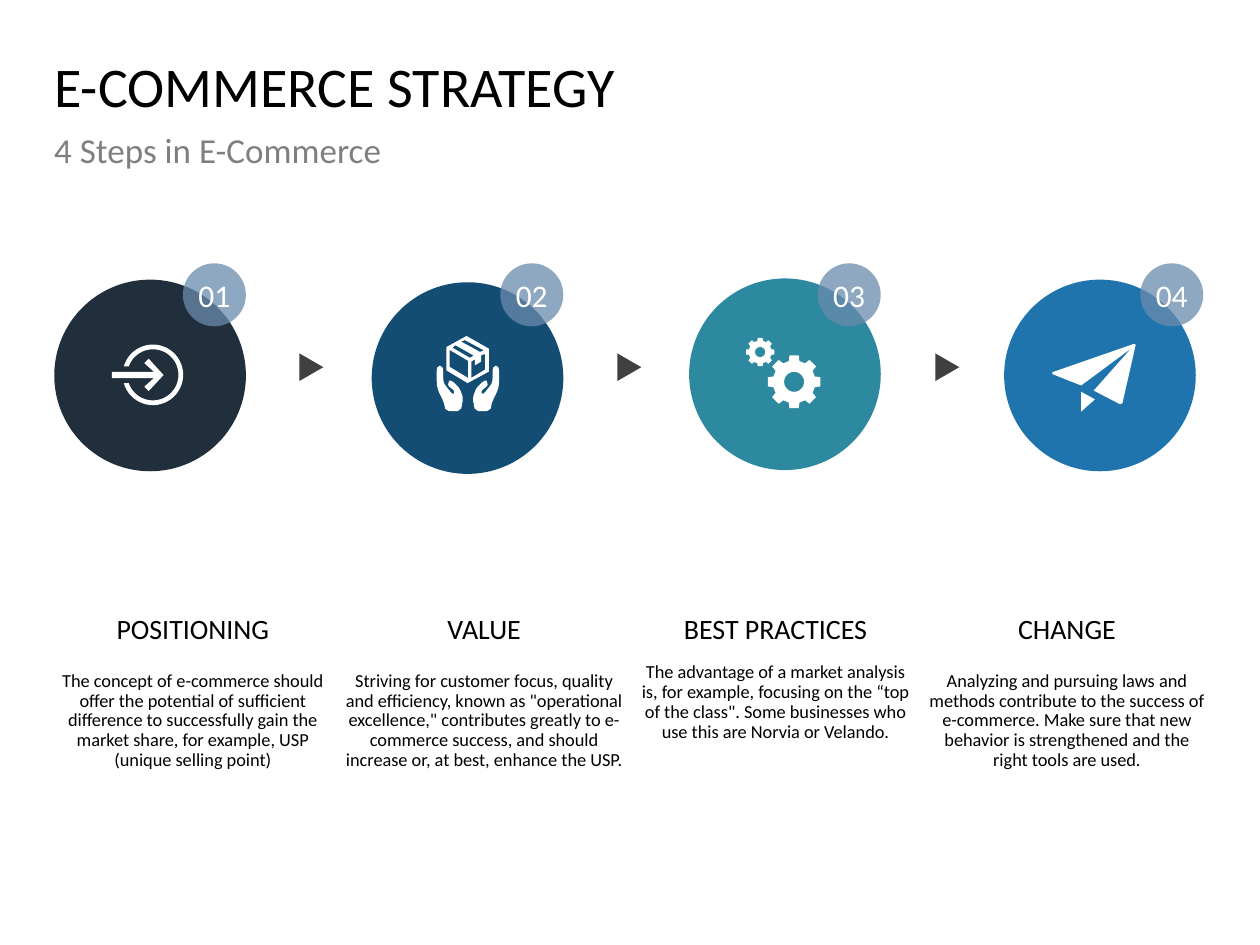
import math
from dataclasses import dataclass

import pptx
import pptx.dml.color
import pptx.enum.shapes
import pptx.enum.text
import pptx.oxml
import pptx.oxml.ns
import pptx.util

Pt = pptx.util.Pt
Shape = pptx.enum.shapes.MSO_SHAPE
Align = pptx.enum.text.PP_ALIGN
Anchor = pptx.enum.text.MSO_ANCHOR


@dataclass(frozen=True)
class Theme:
    font: str = "Calibri"
    black: str = "000000"
    white: str = "FFFFFF"
    gray: str = "7F7F7F"
    arrow: str = "404040"
    badge: str = "6A8BAD"
    title: float = 32
    sub: float = 20
    num: float = 18
    head: float = 16
    body: float = 10.5


THEME = Theme()

STEPS = [
    ("POSITIONING", "The concept of e-commerce should offer the potential of sufficient difference to successfully gain the market share, for example, USP (unique selling point)",
     "212E3C", 31, 159.8, 104.5, 15),
    ("VALUE", "Striving for customer focus, quality and efficiency, known as \"operational excellence,\" contributes greatly to e-commerce success, and should increase or, at best, enhance the USP.",
     "144D73", 212.4, 161.3, 285.9, 15),
    ("BEST PRACTICES", "The advantage of a market analysis is, for example, focusing on the “top of the class\". Some businesses who use this are Norvia or Velando.",
     "2D899F", 393.8, 159.1, 467.3, 10),
    ("CHANGE", "Analyzing and pursuing laws and methods contribute to the success of e-commerce. Make sure that new behavior is strengthened and the right tools are used.",
     "1F74AD", 573.8, 159.8, 651.6, 15),
]

BOX = [
    [(266.6, 192), (279.3, 199.2), (279.3, 212.4), (267.2, 218.9),
     (255, 211.6), (255, 198.4)],
    [(257, 200), (267.5, 206.2), (267.5, 216), (257, 209.7)],
    [(269.3, 206.6), (271.4, 205.3), (271.4, 208.8), (275, 206.6),
     (275, 203), (277.2, 202.3), (277.2, 211.2), (269.3, 216)],
    [(258.5, 198.7), (260.3, 197.3), (270.7, 203.2), (268.6, 204.5)],
    [(263.5, 195.2), (265.7, 194.4), (276.5, 200.2), (274.3, 201.1)],
]
HAND = [
    (271.5, 234.9), (270.1, 227.5), (272.2, 221.8), (275.8, 218.2),
    (278, 217.2), (278.9, 220.3), (275.2, 223.2), (275.2, 225), (276.7, 224.8),
    (280.8, 219.6), (281.5, 217.4), (281.5, 210.4), (283.4, 208.8),
    (285.3, 210.4), (285.2, 219.6), (284.4, 223.2), (281.5, 229), (280, 234.9),
]
MID = 267.4
ENTER = [(85, 205), (82.5, 207.5), (88, 212.5), (64, 212.5), (64, 216),
         (88, 216), (82.5, 221), (85, 223.5), (93.5, 214.3)]
PLANE = [
    [(648, 196.5), (601.4, 212.7), (601.4, 213.8), (617.8, 220.3),
     (646.3, 199.2), (625, 223.2), (640, 231), (641.4, 230.5), (649, 197)],
    [(617.8, 223.9), (617.8, 235.2), (625.7, 228.2)],
]


def tint(hue):
    return pptx.dml.color.RGBColor.from_string(hue)


def paint(shape, hue):
    shape.shadow.inherit = False
    shape.fill.solid()
    shape.fill.fore_color.rgb = tint(hue)
    shape.line.fill.background()
    return shape


def add(slide, kind, hue, x, y, w, h):
    return paint(slide.shapes.add_shape(kind, Pt(x), Pt(y), Pt(w), Pt(h)), hue)


def style(para, size, hue, align, gap=0, lead=0.9):
    props = para._p.get_or_add_pPr()
    props.set("marL", "0")
    props.set("indent", "0")
    props.append(pptx.oxml.parse_xml(
        "<a:buNone %s/>" % pptx.oxml.ns.nsdecls("a")))
    para.alignment = align
    para.line_spacing = lead
    para.space_before = Pt(gap)
    para.space_after = Pt(0)
    para.font.name = THEME.font
    para.font.size = Pt(size)
    para.font.bold = False
    para.font.color.rgb = tint(hue)


def frame(shape, anchor=Anchor.TOP):
    text = shape.text_frame
    text.margin_left = text.margin_right = Pt(0)
    text.margin_top = text.margin_bottom = Pt(0)
    text.word_wrap = True
    text.auto_size = pptx.enum.text.MSO_AUTO_SIZE.NONE
    text.vertical_anchor = anchor
    return text


def place(shape, x, y, w, h):
    shape.left, shape.top = Pt(x), Pt(y)
    shape.width, shape.height = Pt(w), Pt(h)


def line(shape, words, size, hue):
    text = frame(shape)
    text.text = words
    style(text.paragraphs[0], size, hue, Align.LEFT)


def column(shape, x, head, body, gap):
    place(shape, x, 351.4, 158.4, 106.6)
    text = frame(shape)
    text.text = head
    style(text.paragraphs[0], THEME.head, THEME.black, Align.CENTER)
    para = text.add_paragraph()
    para.text = body
    style(para, THEME.body, THEME.black, Align.CENTER, gap)


def badge(slide, num, x):
    disc = add(slide, Shape.OVAL, THEME.badge, x, 150.5, 36, 36)
    hue = disc._element.spPr.find(".//" + pptx.oxml.ns.qn("a:srgbClr"))
    hue.append(pptx.oxml.parse_xml(
        '<a:alpha %s val="75000"/>' % pptx.oxml.ns.nsdecls("a")))
    text = frame(disc, Anchor.MIDDLE)
    text.text = f"{num:02d}"
    style(text.paragraphs[0], THEME.num, THEME.white, Align.CENTER, lead=1)


def arc(x, y, r, start, end, count=48):
    turns = [math.radians(start + (end - start) * i / count)
             for i in range(count + 1)]
    return [(x + r * math.cos(t), y + r * math.sin(t)) for t in turns]


def gear(x, y, r, hole, teeth=8):
    rim = []
    for i in range(teeth):
        for part, size in ((-0.32, 0.8), (-0.22, 1), (0.22, 1), (0.32, 0.8)):
            turn = 2 * math.pi * (i + part) / teeth
            rim.append((x + r * size * math.cos(turn),
                        y + r * size * math.sin(turn)))
    return [rim, arc(x, y, hole, 0, 360)]


def smooth(points):
    out = []
    for (a, b), (c, d) in zip(points, points[1:] + points[:1]):
        out += [(a + (c - a) * t, b + (d - b) * t) for t in (0.2, 0.8)]
    return out


def icon(slide, loops):
    grid = [[(round(x * 100), round(y * 100)) for x, y in loop]
            for loop in loops]
    pen = slide.shapes.build_freeform(*grid[0][0], scale=Pt(0.01))
    pen.add_line_segments(grid[0][1:])
    for loop in grid[1:]:
        pen.move_to(*loop[0])
        pen.add_line_segments(loop[1:])
    paint(pen.convert_to_shape(), THEME.white)


def icons(slide):
    ring = (arc(87.4, 214.2, 17.3, 196, 524)
            + arc(87.4, 214.2, 14.6, 521, 199))
    icon(slide, [ring, ENTER])
    icon(slide, BOX)
    hand = smooth(HAND)
    icon(slide, [hand])
    icon(slide, [[(2 * MID - x, y) for x, y in hand]])
    icon(slide, gear(453.8, 218.2, 15.3, 5.7))
    icon(slide, gear(434.4, 201.2, 8.2, 2.9))
    icon(slide, PLANE)


def main():
    deck = pptx.Presentation()
    deck.slide_width, deck.slide_height = Pt(720), Pt(540)
    slide = deck.slides.add_slide(deck.slide_layouts[4])
    title, *cells = slide.placeholders
    place(title, 31, 33.8, 656, 85)
    line(title, "E-COMMERCE STRATEGY", THEME.title, THEME.black)
    sub = slide.shapes.add_textbox(Pt(31), Pt(76.3), Pt(656), Pt(42.5))
    line(sub, "4 Steps in E-Commerce", THEME.sub, THEME.gray)
    for i in range(3):
        tip = add(slide, Shape.ISOSCELES_TRIANGLE, THEME.arrow,
                  170 + 181.7 * i, 203, 15.8, 13.7)
        tip.rotation = 90
    for i, (head, body, hue, x, y, spot, gap) in enumerate(STEPS):
        add(slide, Shape.OVAL, hue, x, y, 109.5, 109.5)
        badge(slide, i + 1, spot)
        column(cells[i], 31 + 166.5 * i, head, body, gap)
    icons(slide)
    deck.save("out.pptx")


if __name__ == "__main__":
    main()
